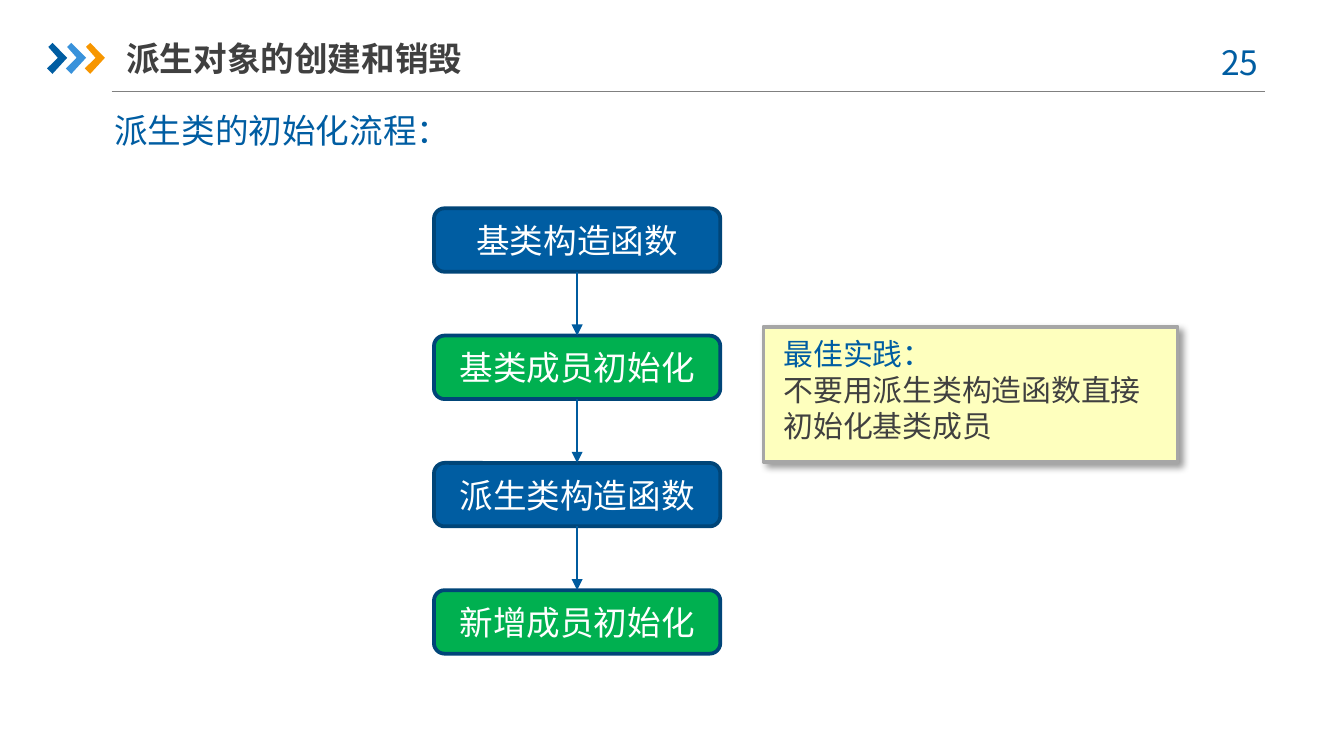
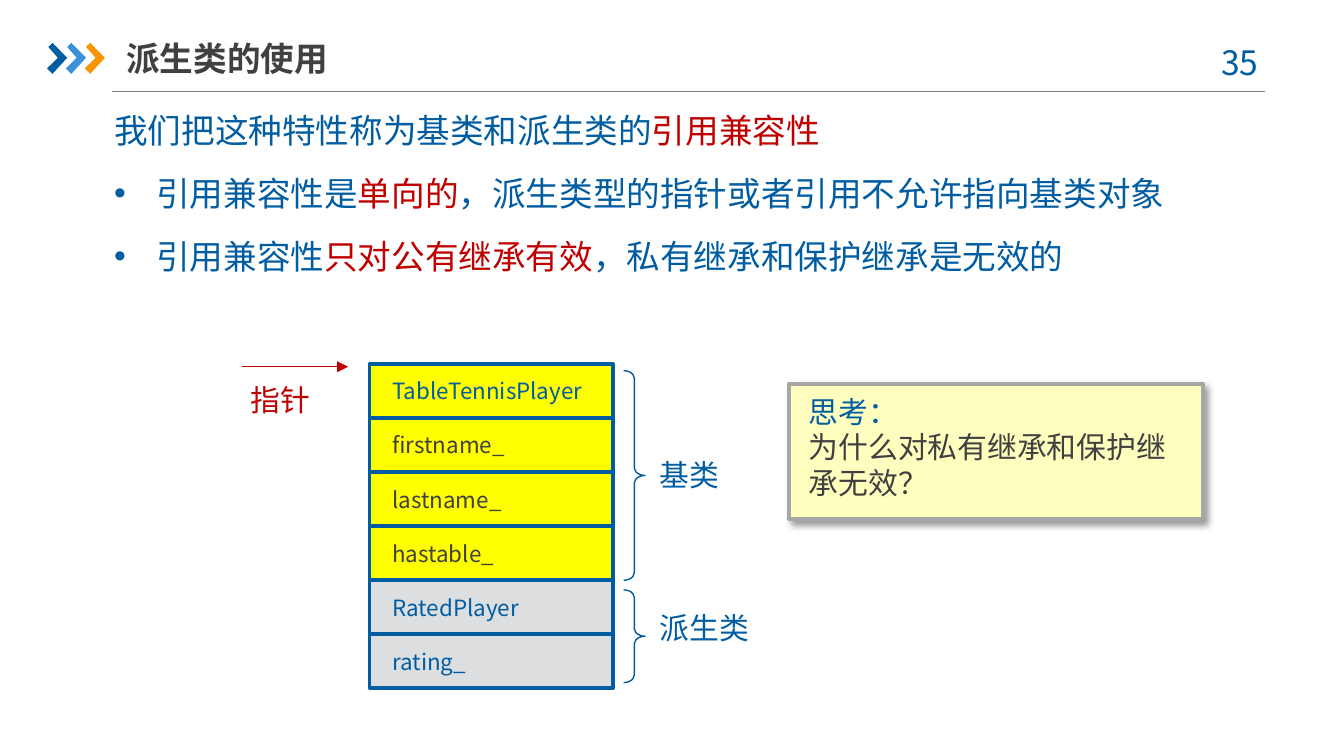
from itertools import pairwise

from lxml.etree import SubElement
from pptx import Presentation
from pptx.dml.color import RGBColor
from pptx.enum.shapes import MSO_CONNECTOR, MSO_SHAPE
from pptx.enum.text import MSO_ANCHOR, MSO_AUTO_SIZE, PP_ALIGN
from pptx.oxml.ns import qn
from pptx.util import Pt

COLORS = {
    "blue": "005DA2", "sky": "3992DB", "orange": "F79600", "navy": "004578",
    "stroke": "005B9E", "green": "00B050", "red": "C00000", "yellow": "FFFF00",
    "silver": "DCDEE0", "cream": "FEFFBE", "border": "A6A6A6", "rule": "808080",
    "text": "404040", "white": "FFFFFF", "black": "000000",
}
FONT = "Noto Sans CJK SC"
CHEVRON = [(0.7, 2.2), (2.9, 0), (10.8, 8), (2.9, 16.6), (0, 13.7), (5.8, 8)]


def color(name):
    """Return a palette colour."""
    return RGBColor.from_string(COLORS[name])


def write_para(para, spans, size, font=FONT, bold=False, align=PP_ALIGN.LEFT, after=0):
    """Write coloured spans into a paragraph; None is a line break."""
    para.alignment = align
    para.line_spacing = Pt(size * 1.2)
    para.space_before, para.space_after = Pt(0), Pt(after)
    for part in spans:
        if part is None:
            para.add_line_break()
            continue
        span = para.add_run()
        span.text = part[0]
        span.font.size, span.font.bold, span.font.name = Pt(size), bold, font
        span.font.color.rgb = color(part[1])
        SubElement(span.font._element, qn("a:ea")).set("typeface", FONT)


def set_frame(frame, insets=(7.2, 3.6, 7.2, 3.6), anchor=MSO_ANCHOR.TOP):
    """Set insets, wrapping and anchor of a text frame."""
    frame.word_wrap, frame.auto_size = True, MSO_AUTO_SIZE.NONE
    frame.vertical_anchor = anchor
    (frame.margin_left, frame.margin_top,
     frame.margin_right, frame.margin_bottom) = map(Pt, insets)


def place(shape, box):
    """Move a shape to a box given in points."""
    shape.left, shape.top, shape.width, shape.height = map(Pt, box)


def add_label(page, box, text, name, size=16, align=PP_ALIGN.LEFT):
    """Add a one-line text box."""
    label = page.shapes.add_textbox(*map(Pt, box))
    set_frame(label.text_frame)
    write_para(label.text_frame.paragraphs[0], [(text, name)], size, align=align)


def add_block(page, kind, box, fill, line, weight=2):
    """Add a flat preset shape; a fill of None leaves it hollow."""
    block = page.shapes.add_shape(kind, *map(Pt, box))
    block.shadow.inherit = False
    if fill:
        block.fill.solid()
        block.fill.fore_color.rgb = color(fill)
    else:
        block.fill.background()
    block.line.color.rgb, block.line.width = color(line), Pt(weight)
    return block


def add_line(page, start, end, name, arrow=True):
    """Add a straight thin line, with an arrowhead if wanted."""
    line = page.shapes.add_connector(MSO_CONNECTOR.STRAIGHT, *map(Pt, start + end))
    line.line.color.rgb, line.line.width = color(name), Pt(0.75)
    if arrow:
        SubElement(line.line._get_or_add_ln(), qn("a:tailEnd")).set("type", "triangle")
    SubElement(line._element.spPr, qn("a:effectLst"))
    return line


def add_header(page, title, number):
    """Draw the heading band: rule, chevrons, page number and title."""
    add_line(page, (59.8, 49), (677.5, 49), "rule", arrow=False)
    for index, name in enumerate(("blue", "sky", "orange")):
        left, top = 25.2 + 10.1 * index, 23
        points = [(Pt(left + x), Pt(top + y)) for x, y in CHEVRON]
        builder = page.shapes.build_freeform(*points[0], scale=1.0)
        builder.add_line_segments(points[1:], close=True)
        chevron = builder.convert_to_shape()
        chevron.shadow.inherit = False
        chevron.fill.solid()
        chevron.fill.fore_color.rgb = color(name)
        chevron.line.fill.background()
    add_label(page, (638, 18.7, 52.5, 28.8), number, "blue", 18, PP_ALIGN.CENTER)
    heading = page.shapes.title
    place(heading, (67.7, 15.8, 190, 30.3))
    set_frame(heading.text_frame, (0, 3.6, 0, 3.6), MSO_ANCHOR.MIDDLE)
    write_para(heading.text_frame.paragraphs[0], [(title, "text")], 18, bold=True)


def add_body(page, box, lead, bullets=()):
    """Fill the body placeholder with a lead line and bullets."""
    body = page.placeholders[1]
    place(body, box)
    frame = body.text_frame
    set_frame(frame)
    for index, spans in enumerate([lead, *bullets]):
        para = frame.add_paragraph() if index else frame.paragraphs[0]
        write_para(para, spans, 18, after=12)
        props = para._element.get_or_add_pPr()
        indent = Pt(22.5) if index else 0
        props.set("marL", str(indent))
        props.set("indent", str(-indent))
        if index:
            SubElement(props, qn("a:buFont")).set("typeface", "Arial")
            SubElement(props, qn("a:buChar")).set("char", "•")
        else:
            SubElement(props, qn("a:buNone"))


def add_note(page, left, top, heading, text):
    """Add a cream note with a soft shadow."""
    note = add_block(page, MSO_SHAPE.RECTANGLE, (left, top, 221.8, 72.4), "cream", "border")
    effects = note._element.spPr.find(qn("a:effectLst"))
    shadow = SubElement(effects, qn("a:outerShdw"), blurRad=str(Pt(4)),
                        dist=str(Pt(3)), dir="2700000", algn="tl", rotWithShape="0")
    shade = SubElement(shadow, qn("a:srgbClr"), val=COLORS["black"])
    SubElement(shade, qn("a:alpha"), val="40000")
    set_frame(note.text_frame, (10.8, 5, 17.2, 3.6))
    spans = [(heading, "blue"), None, (text, "text")]
    write_para(note.text_frame.paragraphs[0], spans, 16, after=6)


def add_flow(page, left, top, steps):
    """Stack rounded steps joined by arrows."""
    blocks = []
    for index, text in enumerate(steps):
        box = (left, top + 68.2 * index, 153.4, 34)
        fill = "green" if index % 2 else "blue"
        block = add_block(page, MSO_SHAPE.ROUNDED_RECTANGLE, box, fill, "navy")
        set_frame(block.text_frame, anchor=MSO_ANCHOR.MIDDLE)
        write_para(block.text_frame.paragraphs[0], [(text, "white")], 18,
                   font="Calibri", align=PP_ALIGN.CENTER)
        blocks.append(block)
    for upper, lower in pairwise(blocks):
        arrow = add_line(page, (left, top), (left, top), "stroke")
        arrow.begin_connect(upper, 2)
        arrow.end_connect(lower, 0)


def add_memory(page, left, top, fields):
    """Draw the object layout with its pointer and the braces of both classes."""
    for index, (text, fill, name) in enumerate(fields):
        box = (left, top + 28.95 * index, 130.3, 28.95)
        cell = add_block(page, MSO_SHAPE.RECTANGLE, box, fill, "blue")
        set_frame(cell.text_frame, (12.2, 3.6, 0, 3.6), MSO_ANCHOR.MIDDLE)
        write_para(cell.text_frame.paragraphs[0], [(text, name)], 12)
    braces = [("基类", 3.6, 112.3, 46), ("派生类", 121, 49.7, 128.2)]
    for text, offset, height, label_offset in braces:
        box = (left + 136.1, top + offset, 11.5, height)
        brace = add_block(page, MSO_SHAPE.RIGHT_BRACE, box, None, "stroke", 0.75)
        brace.adjustments[0] = 0.354
        add_label(page, (left + 148.3, top + label_offset, 67, 26.6), text, "blue")
    add_line(page, (left - 68.4, top + 1.5), (left - 11.5, top + 1.5), "red")
    add_label(page, (left - 70.6, top + 5.8, 67, 26.6), "指针", "red")


def build_flow_page(deck):
    """Build the initialisation order page."""
    page = deck.slides.add_slide(deck.slide_layouts[1])
    add_header(page, "派生对象的创建和销毁", "25")
    add_body(page, (54, 55.4, 317.5, 28.8), [("派生类的初始化流程：", "blue")])
    add_flow(page, 232.5, 111.6,
             ["基类构造函数", "基类成员初始化", "派生类构造函数", "新增成员初始化"])
    add_note(page, 409, 175, "最佳实践：", "不要用派生类构造函数直接初始化基类成员")


def build_memory_page(deck):
    """Build the reference compatibility page."""
    page = deck.slides.add_slide(deck.slide_layouts[1])
    add_header(page, "派生类的使用", "35")
    add_body(page, (54, 55.4, 617.8, 97.2),
             [("我们把这种特性称为基类和派生类的", "blue"), ("引用兼容性", "red")],
             [[("引用兼容性是", "blue"), ("单向的", "red"),
               ("，派生类型的指针或者引用不允许指向基类对象", "blue")],
              [("引用兼容性", "blue"), ("只对公有继承有效", "red"),
               ("，私有继承和保护继承是无效的", "blue")]])
    add_memory(page, 198, 195, [
        ("TableTennisPlayer", "yellow", "blue"), ("firstname_", "yellow", "text"),
        ("lastname_", "yellow", "text"), ("hastable_", "yellow", "text"),
        ("RatedPlayer", "silver", "blue"), ("rating_", "silver", "blue")])
    add_note(page, 422.5, 205.7, "思考：", "为什么对私有继承和保护继承无效？")


def main():
    """Build and save the deck."""
    deck = Presentation()
    deck.slide_width, deck.slide_height = Pt(720), Pt(405)
    build_flow_page(deck)
    build_memory_page(deck)
    deck.save("out.pptx")


if __name__ == "__main__":
    main()
